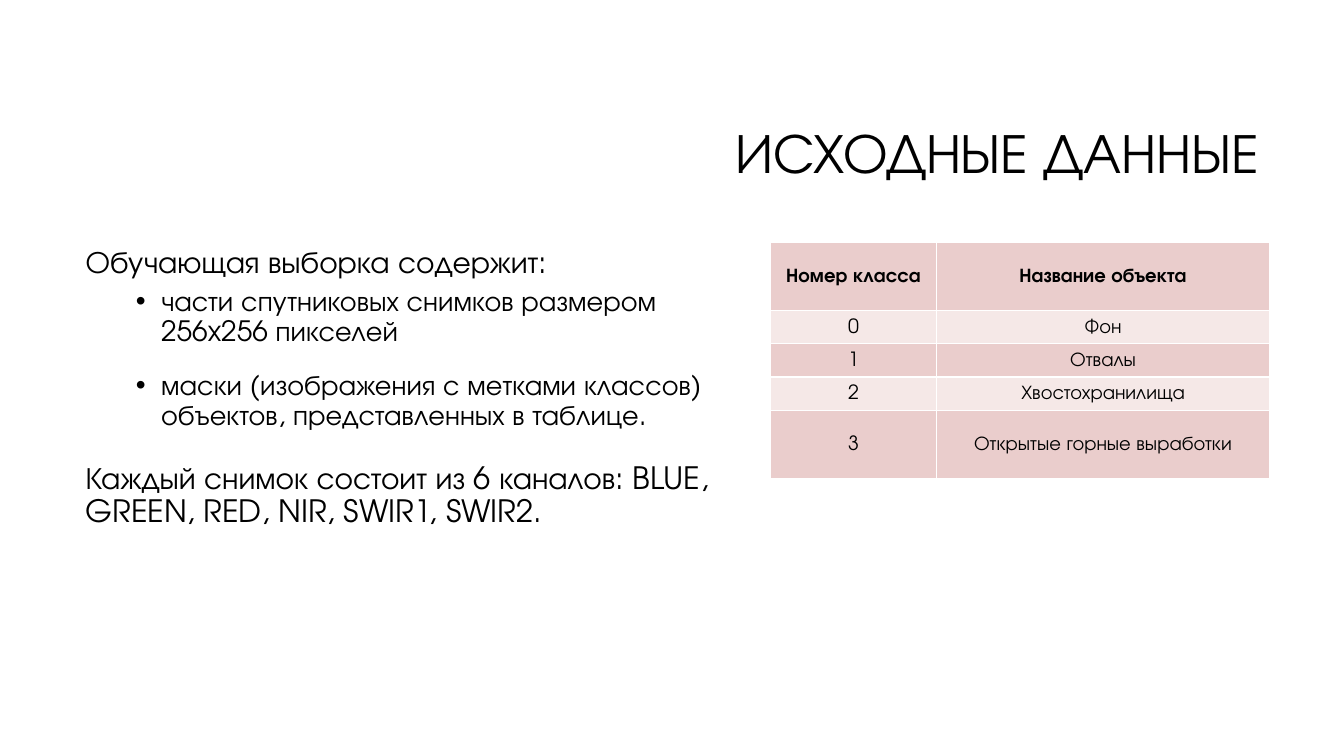
import pptx
import pptx.dml.color
import pptx.enum.text
import pptx.oxml.ns
import pptx.util
import lxml.etree

Inches = pptx.util.Inches
Pt = pptx.util.Pt
ALIGN = pptx.enum.text.PP_ALIGN
ANCHOR = pptx.enum.text.MSO_ANCHOR
qn = pptx.oxml.ns.qn

FONT = "TeX Gyre Adventor"
BLACK = pptx.dml.color.RGBColor(0x00, 0x00, 0x00)
WHITE = pptx.dml.color.RGBColor(0xFF, 0xFF, 0xFF)
BAND_DARK = pptx.dml.color.RGBColor(0xEA, 0xCD, 0xCC)
BAND_LIGHT = pptx.dml.color.RGBColor(0xF5, 0xE8, 0xE7)

TITLE = "ИСХОДНЫЕ ДАННЫЕ"
BODY = [
    ("Обучающая выборка содержит:", False),
    ("части спутниковых снимков размером 256x256 пикселей", True),
    ("маски (изображения с метками классов) объектов, представленных в таблице.", True),
    ("Каждый снимок состоит из 6 каналов: BLUE, GREEN, RED, NIR, SWIR1, SWIR2.", False),
]
CLASS_ROWS = [
    ("Номер класса", "Название объекта"),
    ("0", "Фон"),
    ("1", "Отвалы"),
    ("2", "Хвостохранилища"),
    ("3", "Открытые горные выработки"),
]
COLUMN_WIDTHS = [1.65, 3.3]
ROW_HEIGHTS = [0.68, 0.33, 0.33, 0.33, 0.68]


def format_paragraph(paragraph, size, line_spacing, alignment=ALIGN.LEFT, bold=False):
    paragraph.alignment = alignment
    paragraph.line_spacing = line_spacing
    for run in paragraph.runs:
        run.font.name = FONT
        run.font.size = Pt(size)
        run.font.bold = bold
        run.font.color.rgb = BLACK


def add_bullet(paragraph):
    properties = paragraph._p.get_or_add_pPr()
    properties.set("marL", str(Inches(0.75)))
    properties.set("indent", str(Inches(-0.25)))
    lxml.etree.SubElement(properties, qn("a:buFont"), typeface="Arial")
    lxml.etree.SubElement(properties, qn("a:buChar"), char="•")


def set_title(slide):
    title = slide.shapes.title
    title.left, title.top = Inches(3.17), Inches(0.84)
    title.width, title.height = Inches(9.42), Inches(1.41)
    text_frame = title.text_frame
    text_frame.text = TITLE
    text_frame.word_wrap = True
    text_frame.vertical_anchor = ANCHOR.MIDDLE
    format_paragraph(text_frame.paragraphs[0], 40, 0.9, ALIGN.RIGHT)


def add_body(slide):
    box = slide.shapes.add_textbox(Inches(0.75), Inches(2.4), Inches(6.65), Inches(4.51))
    text_frame = box.text_frame
    text_frame.word_wrap = True
    for index, (text, bulleted) in enumerate(BODY):
        paragraph = text_frame.add_paragraph() if index else text_frame.paragraphs[0]
        paragraph.text = text
        if bulleted:
            paragraph.level = 1
            add_bullet(paragraph)
            paragraph.space_after = Pt(12)
        if index:
            paragraph.space_before = Pt(5 if bulleted else 10)
        format_paragraph(paragraph, 20 if bulleted else 22, 0.9)


def add_cell_borders(cell):
    properties = cell._tc.get_or_add_tcPr()
    for side in ("a:lnL", "a:lnR", "a:lnT", "a:lnB"):
        line = lxml.etree.SubElement(properties, qn(side), w=str(Pt(1)))
        fill = lxml.etree.SubElement(line, qn("a:solidFill"))
        lxml.etree.SubElement(fill, qn("a:srgbClr"), val=str(WHITE))


def fill_cell(cell, text, color, bold):
    add_cell_borders(cell)
    cell.fill.solid()
    cell.fill.fore_color.rgb = color
    cell.margin_left = cell.margin_right = Inches(0.07)
    cell.margin_top = cell.margin_bottom = Inches(0)
    cell.vertical_anchor = ANCHOR.MIDDLE
    cell.text_frame.text = text
    format_paragraph(cell.text_frame.paragraphs[0], 14, 1.07, ALIGN.CENTER, bold)


def add_class_table(slide):
    frame = slide.shapes.add_table(
        len(ROW_HEIGHTS), len(COLUMN_WIDTHS), Inches(7.64), Inches(2.4),
        Inches(sum(COLUMN_WIDTHS)), Inches(sum(ROW_HEIGHTS)))
    table = frame.table
    for column, width in zip(table.columns, COLUMN_WIDTHS):
        column.width = Inches(width)
    for row_index, texts in enumerate(CLASS_ROWS):
        table.rows[row_index].height = Inches(ROW_HEIGHTS[row_index])
        color = BAND_LIGHT if row_index % 2 else BAND_DARK
        for column_index, text in enumerate(texts):
            fill_cell(table.cell(row_index, column_index), text, color, row_index == 0)


def main():
    presentation = pptx.Presentation()
    presentation.slide_width = Inches(13.33)
    presentation.slide_height = Inches(7.5)
    slide = presentation.slides.add_slide(presentation.slide_layouts[5])
    set_title(slide)
    add_body(slide)
    add_class_table(slide)
    presentation.save("out.pptx")


if __name__ == "__main__":
    main()
